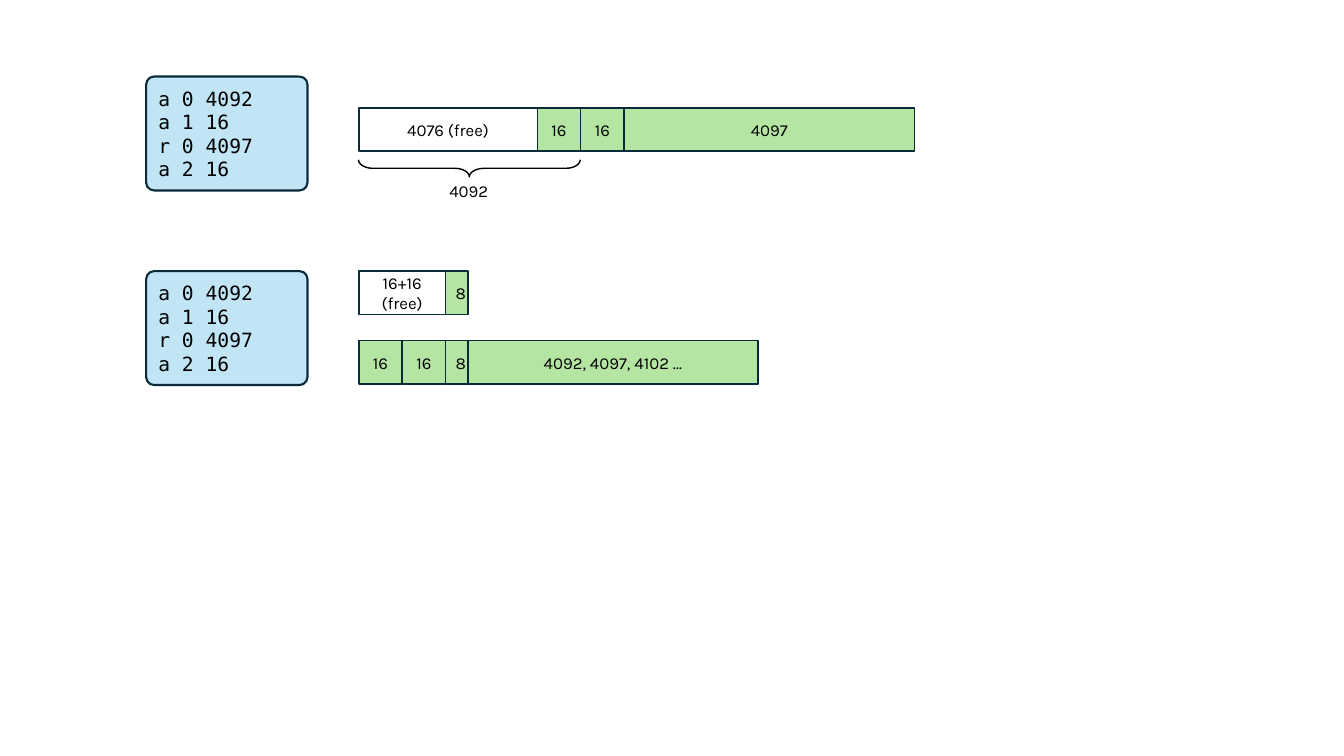
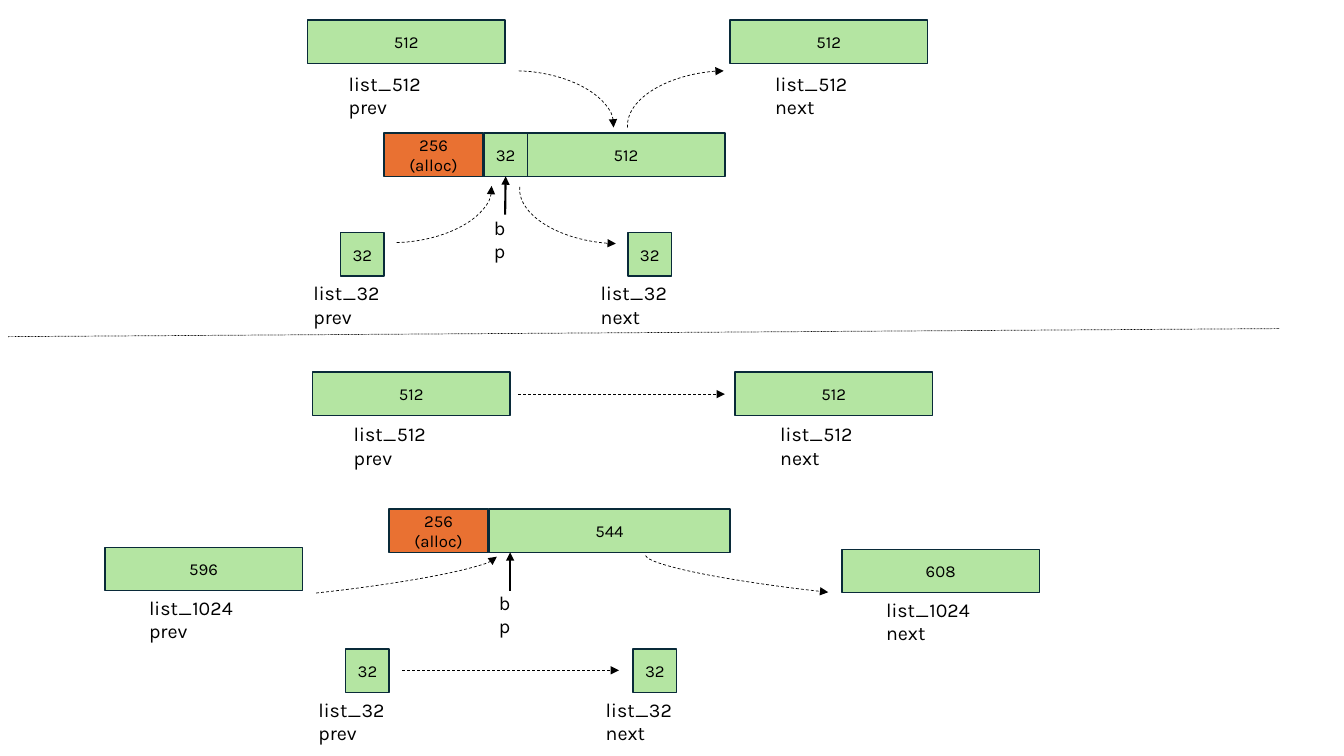
from lxml.etree import SubElement
from pptx import Presentation
from pptx.dml.color import RGBColor
from pptx.enum.dml import MSO_LINE
from pptx.enum.shapes import MSO_CONNECTOR, MSO_SHAPE
from pptx.enum.text import MSO_ANCHOR, PP_ALIGN
from pptx.oxml.ns import qn
from pptx.util import Inches, Pt

COLORS = {"ink": "092A39", "black": "000000", "white": "FFFFFF",
          "green": "B4E5A2", "orange": "E97132", "sky": "C1E5F5"}
BLOCK_FONT = {"name": "Karla", "size": Pt(12)}
LABEL_FONT = {"name": "Karla", "size": Pt(14)}
TRACE_FONT = {"name": "DejaVu Sans Mono", "size": Pt(14)}
BLOCK_H = 0.43
LIST_W = 1.96


def style_line(item, color="black", width=0.5, dash=None, head=False, tail=False):
    """Format an outline or connector and remove the theme shadow."""
    item.line.color.rgb = RGBColor.from_string(COLORS[color])
    for name, value in {"width": Pt(width), "dash_style": dash}.items():
        setattr(item.line, name, value)
    outline = item.line._get_or_add_ln()
    for tag, wanted in (("a:headEnd", head), ("a:tailEnd", tail)):
        if wanted:
            SubElement(outline, qn(tag), type="triangle")
    SubElement(item._element.spPr, qn("a:effectLst"))


def add_block(slide, left, top, width, text, fill="green", line="ink", height=BLOCK_H,
              kind=MSO_SHAPE.RECTANGLE, font=BLOCK_FONT, align=PP_ALIGN.CENTER, line_width=1):
    block = slide.shapes.add_shape(kind, Inches(left), Inches(top), Inches(width), Inches(height))
    style_line(block, line, line_width)
    if fill:
        block.fill.solid()
        block.fill.fore_color.rgb = RGBColor.from_string(COLORS[fill])
    else:
        block.fill.background()
    block.text_frame.text = text
    block.text_frame.word_wrap = True
    block.text_frame.vertical_anchor = MSO_ANCHOR.MIDDLE
    for paragraph in block.text_frame.paragraphs:
        paragraph.alignment = align
        paragraph.font.color.rgb = RGBColor.from_string(COLORS["black"])
        for name, value in font.items():
            setattr(paragraph.font, name, value)
    return block


deck = Presentation()
deck.slide_width, deck.slide_height = Inches(13.33), Inches(7.5)
heap, coalesce = [deck.slides.add_slide(deck.slide_layouts[6]) for _ in range(2)]

# Slide 1: heap rows, each filled from the left
HEAP_LEFT = 3.56
heap_rows = [
    (1.07, [(1.77, "4076 (free)", "white"), (0.43, "16", "green"),
            (0.43, "16", "green"), (2.88, "4097", "green")]),
    (2.69, [(0.86, "16+16 (free)", "white"), (0.22, "8", "green")]),
    (3.38, [(0.43, "16", "green"), (0.43, "16", "green"), (0.22, "8", "green"),
            (2.88, "4092, 4097, 4102 …", "green")]),
]
for top, segments in heap_rows:
    left = HEAP_LEFT
    for width, text, fill in segments:
        add_block(heap, left, top, width, text, fill)
        left += width

# Brace over the first 4092 bytes, with its label
brace = heap.shapes.add_shape(MSO_SHAPE.RIGHT_BRACE, Inches(4.57), Inches(0.57),
                              Inches(0.17), Inches(2.2))
brace.rotation = 90
brace.adjustments[0] = 0.84
brace.fill.background()
style_line(brace, width=1)
add_block(heap, 4.22, 1.77, 0.86, "4092", fill=None, line="white", height=0.24)

# Allocation traces
for top in (0.76, 2.69):
    trace = add_block(heap, 1.45, top, 1.6, "a 0 4092\na 1 16\nr 0 4097\na 2 16", "sky",
                      height=1.13, kind=MSO_SHAPE.ROUNDED_RECTANGLE, font=TRACE_FONT,
                      align=PP_ALIGN.LEFT, line_width=1.5)
    trace.adjustments[0] = 0.07

# Slide 2: the heap before and after the two free blocks merge
add_block(coalesce, 5.23, 1.32, LIST_W, "512")
freed = add_block(coalesce, 4.8, 1.32, BLOCK_H, "32")
add_block(coalesce, 4.85, 5.05, 2.39, "544")
for left, top in ((3.81, 1.32), (3.86, 5.05)):
    add_block(coalesce, left, top, 0.98, "256 (alloc)", "orange")

# Neighbours in the free lists: block left, top, width, size, label offset
labels = [(4.8, 2.09, 0.4, "bp"), (4.85, 5.81, 0.4, "bp")]
neighbours = [
    (3.05, 0.2, LIST_W, "512", 0.31, 0.46, 1.27, "list_512 prev"),
    (7.24, 0.2, LIST_W, "512", 0.35, 0.46, 1.26, "list_512 next"),
    (3.38, 2.31, BLOCK_H, "32", -0.37, 0.43, 1.16, "list_32 prev"),
    (6.23, 2.31, BLOCK_H, "32", -0.37, 0.43, 1.16, "list_32 next"),
    (3.1, 3.69, LIST_W, "512", 0.31, 0.45, 1.27, "list_512 prev"),
    (7.29, 3.69, LIST_W, "512", 0.35, 0.45, 1.26, "list_512 next"),
    (3.43, 6.44, BLOCK_H, "32", -0.37, 0.43, 1.16, "list_32 prev"),
    (6.28, 6.44, BLOCK_H, "32", -0.37, 0.43, 1.16, "list_32 next"),
    (1.04, 5.43, LIST_W, "596", 0.34, 0.43, 1.37, "list_1024 prev"),
    (8.35, 5.45, LIST_W, "608", 0.34, 0.43, 1.37, "list_1024 next"),
]
for left, top, width, size, shift, drop, label_width, text in neighbours:
    add_block(coalesce, left, top, width, size)
    labels.append((left + shift, top + drop, label_width, text))

for left, top, width, text in labels:
    label = coalesce.shapes.add_textbox(Inches(left), Inches(top), Inches(width), Inches(0.34))
    label.text_frame.word_wrap = True
    label.text_frame.text = text
    label_font = label.text_frame.paragraphs[0].font
    label_font.color.rgb = RGBColor.from_string(COLORS["black"])
    for name, value in LABEL_FONT.items():
        setattr(label_font, name, value)

# Curved list links: left, top, width, height, rotation, flips, arrow end
links = [
    (5.15, 1.48, 1.73, 0.93, 186.3, ["flipH"], "tail"),
    (4.36, 0.71, 1.73, 0.93, 186.3, ["flipV"], "head"),
    (6.22, 0.71, 1.73, 0.93, 173.7, ["flipH", "flipV"], "tail"),
    (3.15, 1.47, 1.73, 0.93, 173.7, [], "head"),
    (1.36, 5.54, 3.58, 0.34, 173.7, [], "head"),
    (6.39, 5.53, 3.58, 0.34, 186.3, ["flipH"], "tail"),
]
for left, top, width, height, rotation, flips, arrow_end in links:
    link = coalesce.shapes.add_shape(MSO_SHAPE.ARC, Inches(left), Inches(top),
                                     Inches(width), Inches(height))
    link.rotation = rotation
    link.adjustments[0], link.adjustments[1] = 108.16, 172.46
    for flip in flips:
        link._element.spPr.xfrm.set(flip, "1")
    link.fill.background()
    style_line(link, dash=MSO_LINE.DASH, **{arrow_end: True})

# Straight links, bp pointers and the divider; a target block is joined at its bottom
dashed = {"dash": MSO_LINE.DASH, "tail": True}
pointer = {"width": 1.5, "tail": True}
straight_lines = [
    (3.99, 6.65, 6.14, 6.65, dashed, None),
    (5.14, 3.91, 7.19, 3.91, dashed, None),
    (5.01, 2.13, 5.01, 1.75, pointer, freed),
    (5.06, 5.86, 5.06, 5.48, pointer, None),
    (0.08, 3.34, 12.69, 3.26, {"dash": MSO_LINE.ROUND_DOT}, None),
]
for x1, y1, x2, y2, line_format, target in straight_lines:
    straight = coalesce.shapes.add_connector(MSO_CONNECTOR.STRAIGHT, Inches(x1), Inches(y1),
                                             Inches(x2), Inches(y2))
    if target is not None:
        straight.end_connect(target, 2)
    style_line(straight, **line_format)

deck.save("out.pptx")
